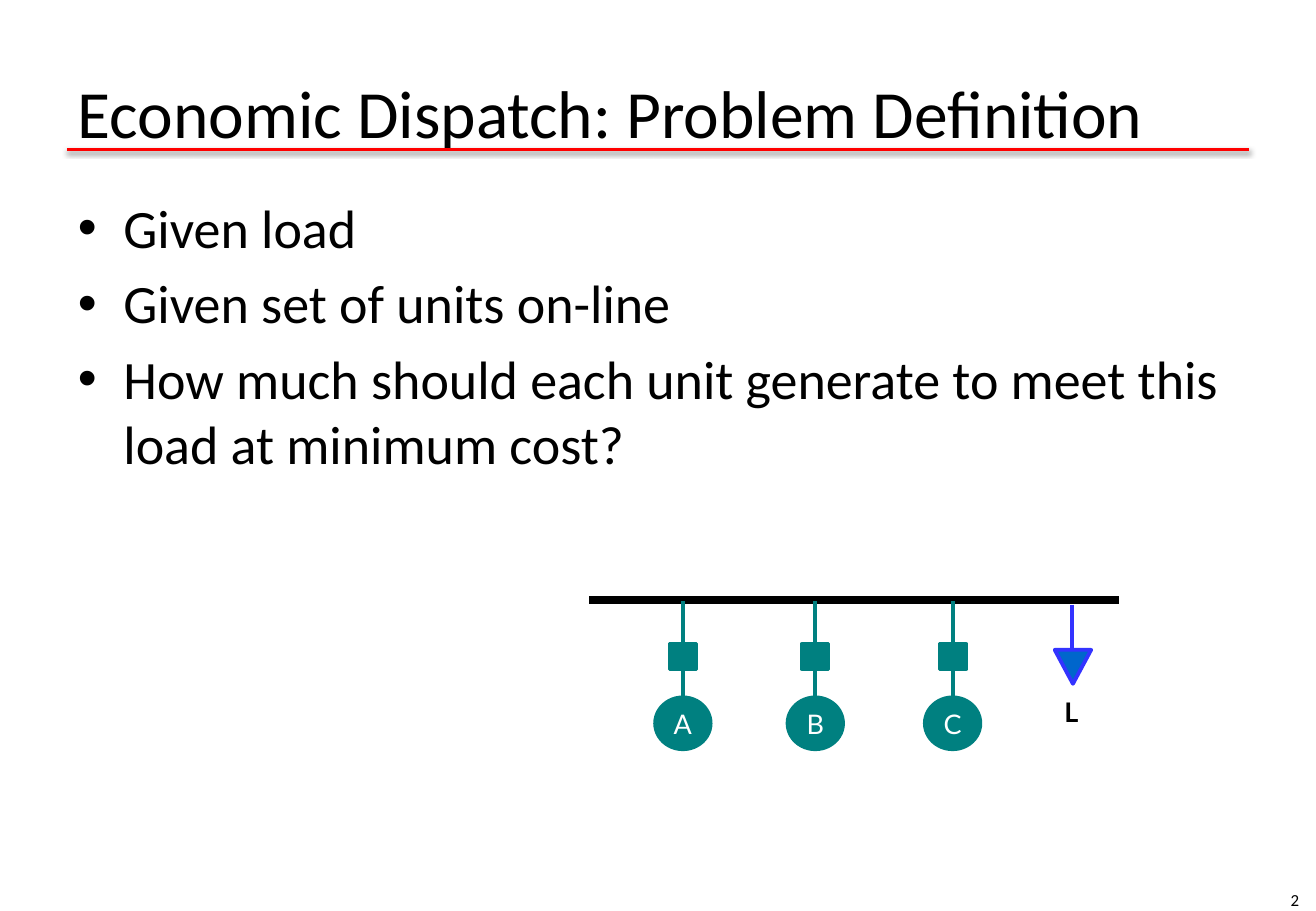
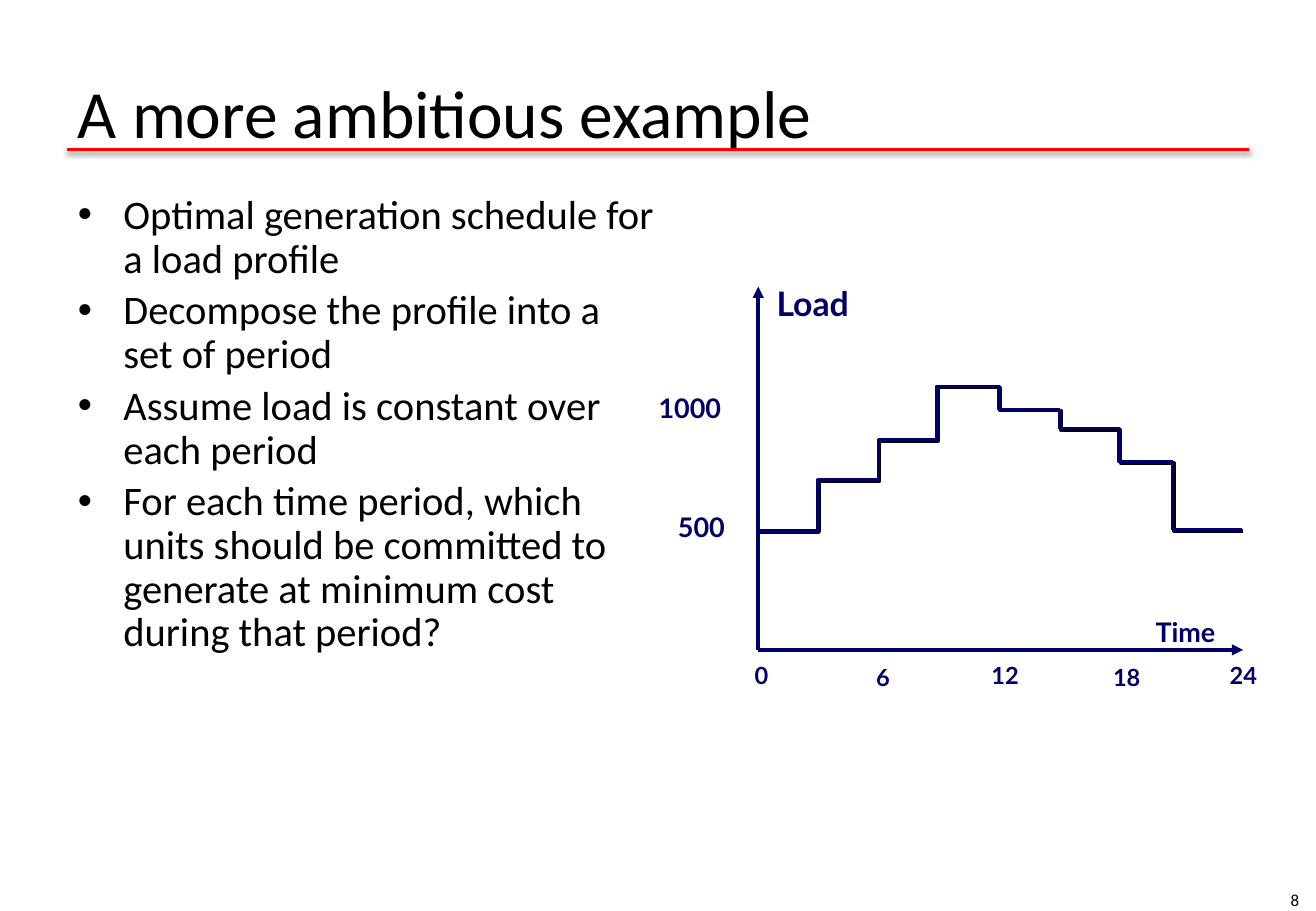
from lxml import etree
from pptx import Presentation
from pptx.dml.color import RGBColor
from pptx.enum.shapes import MSO_CONNECTOR as CONN, MSO_SHAPE as SHAPE
from pptx.enum.text import MSO_ANCHOR as ANCHOR, MSO_AUTO_SIZE as AUTO, PP_ALIGN as ALIGN
from pptx.oxml import parse_xml
from pptx.oxml.ns import nsdecls, qn
from pptx.util import Pt

PX = 9144  # EMU per px, 100 px to the inch
BLACK = RGBColor(0, 0, 0)
WHITE = RGBColor(255, 255, 255)
RED = RGBColor(255, 0, 0)
TEAL = RGBColor(0, 128, 128)
BLUE = RGBColor(0, 0x66, 0xCC)
VIOLET = RGBColor(0x33, 0x33, 0xFF)
NAVY = RGBColor(0, 0, 0x66)
HEAD_FONT, LABEL_FONT = "Calibri", "Lato"

SHADOW = (f'<a:effectLst {nsdecls("a")}><a:outerShdw blurRad="39370" dist="20320" '
          'dir="5400000" rotWithShape="0"><a:srgbClr val="000000"><a:alpha val="38000"/>'
          '</a:srgbClr></a:outerShdw></a:effectLst>')


def px(*values):
    return [v * PX for v in values]


class Deck:
    def __init__(self, width, height):
        self.prs = Presentation()
        self.prs.slide_width, self.prs.slide_height = px(width, height)
        self.s = None

    def font(self, p, size, color, name=LABEL_FONT, bold=False):
        for r in p.runs:
            f = r.font
            f.size, f.name, f.bold = Pt(size), name, bold
            f.color.rgb = color

    def new_slide(self, title, number):
        """Start a slide with its title, red rule and page number."""
        self.s = self.prs.slides.add_slide(self.prs.slide_layouts[1])
        self.line(55, 123, 1028, 123, RED, 2, shadow=True)
        tf = self.place(self.s.shapes.title, 54, 13, 975, 117)
        tf.text = title
        tf.vertical_anchor = ANCHOR.BOTTOM
        p = tf.paragraphs[0]
        p.alignment = ALIGN.LEFT
        self.font(p, 40, BLACK, HEAD_FONT)
        tf = self.s.shapes.add_textbox(*px(826, 721, 253, 40)).text_frame
        tf.text = str(number)
        tf.word_wrap = True
        tf.vertical_anchor = ANCHOR.MIDDLE
        p = tf.paragraphs[0]
        p.alignment = ALIGN.RIGHT
        self.font(p, 10, BLACK, HEAD_FONT)

    def place(self, holder, x, y, w, h):
        """Move a placeholder and return its text frame."""
        holder.left, holder.top, holder.width, holder.height = px(x, y, w, h)
        holder.text_frame.auto_size = AUTO.NONE
        return holder.text_frame

    def bullets(self, items, width, size, spacing=1.0):
        tf = self.place(self.s.placeholders[1], 54, 155, width, 543)
        tf.text = "\n".join(items)
        tf.paragraphs[0].space_before = Pt(0)
        for p in tf.paragraphs:
            p.line_spacing = spacing
            self.font(p, size, BLACK, HEAD_FONT)

    def label(self, text, x, y, w, h, size, color=NAVY):
        tf = self.s.shapes.add_textbox(*px(x, y, w, h)).text_frame
        tf.text = text
        tf.margin_left = tf.margin_right = tf.margin_top = tf.margin_bottom = 0
        tf.word_wrap = False
        tf.auto_size = AUTO.SHAPE_TO_FIT_TEXT
        self.font(tf.paragraphs[0], size, color, bold=True)

    def line(self, x1, y1, x2, y2, color, width, arrow=False, shadow=False):
        c = self.s.shapes.add_connector(CONN.STRAIGHT, *px(x1, y1, x2, y2))
        c.line.color.rgb, c.line.width = color, Pt(width)
        if arrow:
            etree.SubElement(c.line._get_or_add_ln(), qn("a:tailEnd"), type="triangle")
        c._element.spPr.append(parse_xml(SHADOW if shadow else f'<a:effectLst {nsdecls("a")}/>'))
        return c

    def paint(self, sp, fill, line, width):
        sp.shadow.inherit = False
        if fill is None:
            sp.fill.background()
        else:
            sp.fill.solid()
            sp.fill.fore_color.rgb = fill
        sp.line.color.rgb, sp.line.width = line, Pt(width)
        return sp

    def shape(self, kind, x, y, w, h, color, text=""):
        sp = self.paint(self.s.shapes.add_shape(kind, *px(x, y, w, h)), color, color, 2)
        if text:
            tf = sp.text_frame
            tf.text = text
            tf.margin_left = tf.margin_right = tf.margin_top = tf.margin_bottom = 0
            tf.word_wrap = False
            tf.vertical_anchor = ANCHOR.MIDDLE
            p = tf.paragraphs[0]
            p.alignment = ALIGN.CENTER
            self.font(p, 16, WHITE)
        return sp

    def outline(self, points, line, width, fill=None):
        """Draw a polyline, closed when it has a fill."""
        fb = self.s.shapes.build_freeform(*points[0], scale=PX)
        fb.add_line_segments(points[1:], close=fill is not None)
        self.paint(fb.convert_to_shape(), fill, line, width)

    def generator(self, name, x):
        """Hang a unit and its breaker from the bus, centred on x."""
        unit = self.shape(SHAPE.OVAL, x - 23, 574, 46, 43, TEAL, name)
        self.line(x, 495, x, 574, TEAL, 2.25).end_connect(unit, 0)
        self.shape(SHAPE.RECTANGLE, x - 11, 530, 22, 21, TEAL)


def problem_slide(deck):
    deck.new_slide("Economic Dispatch: Problem Definition", 2)
    deck.bullets(["Given load", "Given set of units on-line",
                  "How much should each unit generate to meet this load at minimum cost?"], 975, 32)
    deck.line(485, 494, 921, 494, BLACK, 4.5)
    for name, x in (("A", 562), ("B", 671), ("C", 784)):
        deck.generator(name, x)
    deck.label("L", 876, 573, 13, 27, 16, BLACK)
    deck.outline([(883, 563), (868, 535), (898, 535)], VIOLET, 2.25, BLUE)
    deck.line(882, 498, 882, 534, VIOLET, 2.25)


def profile_slide(deck):
    deck.new_slide("A more ambitious example", 8)
    deck.bullets(["Optimal generation schedule for a load profile",
                  "Decompose the profile into a set of period",
                  "Assume load is constant over each period",
                  "For each time period, which units should be committed to generate "
                  "at minimum cost during that period?"], 495, 24, 0.9)
    for end in ((624, 236), (1023, 535)):
        deck.line(624, 535, *end, NAVY, 2.25, arrow=True)
    deck.label("Load", 639, 233, 65, 33, 20)
    deck.label("Time", 951, 507, 52, 27, 16)
    for text, x, y in (("0", 621, 544), ("6", 721, 546), ("12", 816, 544),
                       ("18", 916, 546), ("24", 1012, 544)):
        deck.label(text, x, y, 13 * len(text), 23, 14)

    edges = [624, 674, 724, 772, 823, 873, 922, 966, 1023]
    levels = [438, 396, 363, 319, 338, 354, 381, 437]
    steps = [(x, y) for left, right, y in zip(edges, edges[1:], levels) for x in (left, right)]
    for color, shift in ((BLACK, 0), (NAVY, 1)):
        deck.outline([(x - shift, y - shift) for x, y in steps], color, 2)
    deck.label("500", 558, 420, 44, 27, 16)
    deck.label("1000", 542, 322, 59, 27, 16)


def main():
    deck = Deck(1083, 750)
    problem_slide(deck)
    profile_slide(deck)
    deck.prs.save("out.pptx")


if __name__ == "__main__":
    main()
